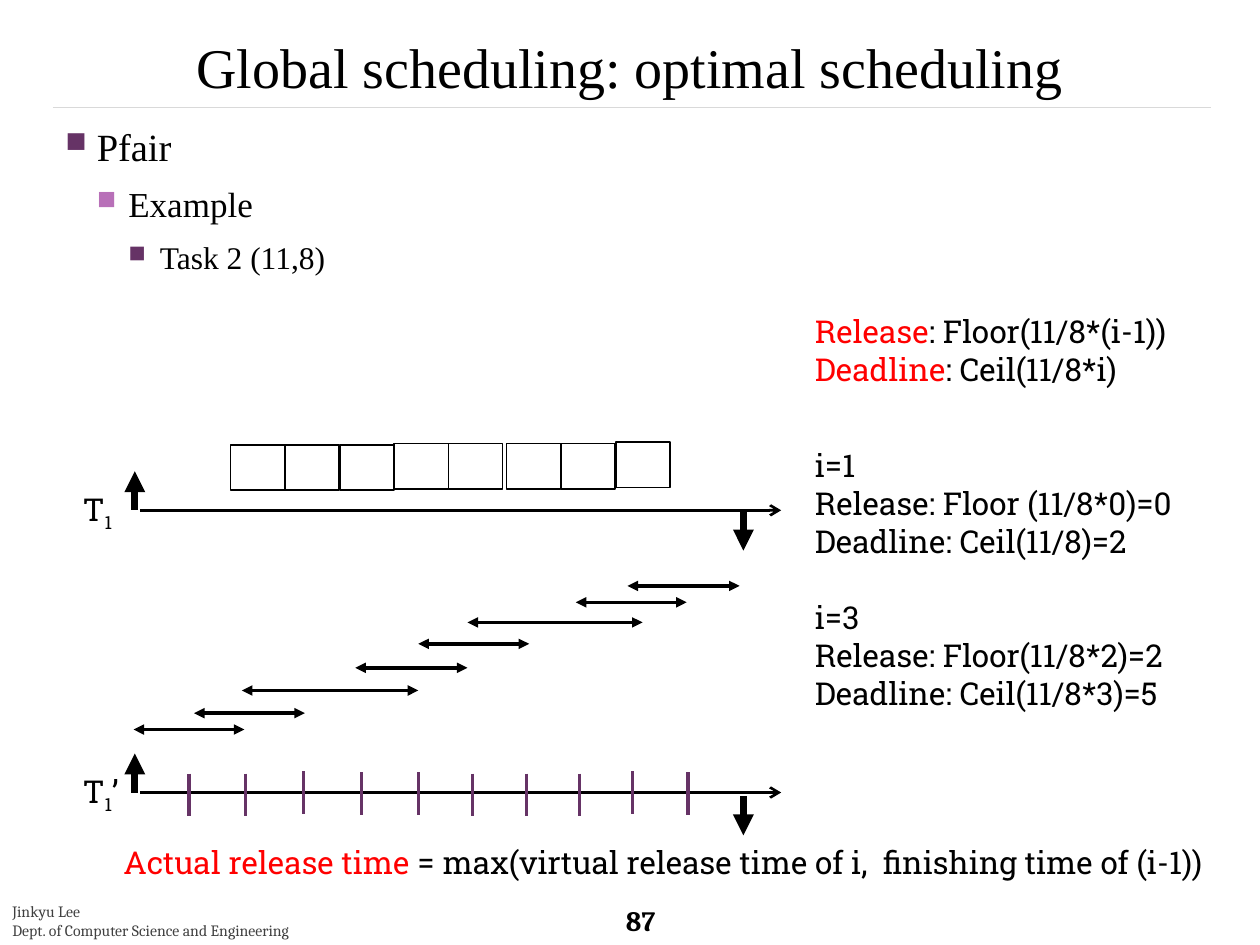
from lxml.etree import SubElement
from pptx import Presentation
from pptx.dml.color import RGBColor
from pptx.enum.shapes import MSO_CONNECTOR, MSO_SHAPE
from pptx.enum.text import MSO_ANCHOR, PP_ALIGN
from pptx.oxml.ns import qn
from pptx.util import Pt

EMU_PER_PX = 9144
SERIF, SLAB, FOOT = "Times New Roman", "Roboto Slab", "Cambria"
BLACK, RED, GREY, PALE = "000000", "FF0000", "404040", "D9D9D9"
PURPLE, LILAC = "663366", "B870B8"


def px(n):
    return n * EMU_PER_PX


def rgb(color):
    return RGBColor.from_string(color)


def add_text(s, box, paragraphs, font=SLAB, size=18, color=BLACK, bold=False,
             align=PP_ALIGN.LEFT, anchor=MSO_ANCHOR.TOP, spacing=None):
    tf = s.shapes.add_textbox(*map(px, box)).text_frame
    tf.word_wrap = True
    tf.vertical_anchor = anchor
    for i, runs in enumerate(paragraphs):
        p = tf.paragraphs[0] if i == 0 else tf.add_paragraph()
        p.alignment = align
        p.line_spacing = spacing
        for run in [runs] if isinstance(runs, str) else runs:
            text, fmt = (run, {}) if isinstance(run, str) else run
            r = p.add_run()
            r.text = text
            r.font.name = font
            r.font.size = Pt(size)
            r.font.bold = bold
            r.font.color.rgb = rgb(fmt.get("color", color))
            if "baseline" in fmt:
                r.font._element.set("baseline", str(fmt["baseline"]))
    return tf


def add_line(s, start, end, width, color=BLACK, head=None, tail=None):
    c = s.shapes.add_connector(MSO_CONNECTOR.STRAIGHT, *map(px, start + end))
    c.line.color.rgb = rgb(color)
    c.line.width = Pt(width)
    ln = c.line._get_or_add_ln()
    for tag, kind in (("a:headEnd", head), ("a:tailEnd", tail)):
        if kind:
            SubElement(ln, qn(tag), type=kind)
    SubElement(c._element.spPr, qn("a:effectLst"))


def add_bullet(p, level, color):
    pPr = p._p.get_or_add_pPr()
    pPr.set("marL", str(px(25 * (level + 1))))
    pPr.set("indent", str(px(-25)))
    SubElement(SubElement(pPr, qn("a:buClr")), qn("a:srgbClr"), val=color)
    SubElement(pPr, qn("a:buSzPct"), val="75000")
    SubElement(pPr, qn("a:buChar"), char="■")


def header(s, x, y, w):
    add_text(s, (x, y, w, 60), ["Global scheduling: optimal scheduling"],
             font=SERIF, size=32, align=PP_ALIGN.CENTER, spacing=1.07)
    add_line(s, (x + 42, y + 68), (x + 961, y + 68), 0.1, PALE)


def outline(s, x, y, w, h):
    items = [("Pfair", 22, 20, PURPLE), ("Example", 20, 6, LILAC),
             ("Task 2 (11,8)", 18, 6, PURPLE)]
    tf = add_text(s, (x, y, w, h), [item[0] for item in items],
                  font=SERIF, spacing=1.07)
    for level, (p, (_, size, before, color)) in enumerate(zip(tf.paragraphs, items)):
        p.level = level
        p.space_before = Pt(before)
        p.runs[0].font.size = Pt(size)
        add_bullet(p, level, color)


def timeline(s, x, y, suffix, drop):
    axis = y + 31
    add_line(s, (x + 55, axis), (x + 564, axis), 1.5, tail="arrow")
    add_line(s, (x + 51, y), (x + 51, axis), 4, head="triangle")
    add_line(s, (x + 534, y + drop), (x + 534, y + drop + 31), 4, tail="triangle")
    label = ["T", ("1", {"baseline": -25000})] + ([suffix] if suffix else [])
    add_text(s, (x, y + 10, 64, 40), [label])


def job_blocks(s, x, y):
    for left, top in [(0, 2), (43, 2), (87, 2), (130, 1),
                      (173, 1), (219, 1), (262, 1), (306, 0)]:
        sp = s.shapes.add_shape(MSO_SHAPE.RECTANGLE,
                                *map(px, (x + left, y + top, 43, 36)))
        sp.shadow.inherit = False
        sp.fill.background()
        sp.line.color.rgb = rgb(BLACK)
        sp.line.width = Pt(1)


def windows(s, x, y):
    for left, right, top in [(0, 88, 114), (48, 136, 101), (86, 226, 83),
                             (176, 265, 65), (226, 314, 46), (265, 404, 29),
                             (351, 439, 13), (392, 481, 0)]:
        add_line(s, (x + left, y + top), (x + right, y + top), 2,
                 head="triangle", tail="triangle")


def ticks(s, x, y):
    for left, top in [(0, 2), (45, 2), (91, 0), (137, 1), (182, 1),
                      (225, 2), (268, 2), (310, 2), (352, 0), (396, 1)]:
        add_line(s, (x + left, y + top), (x + left, y + top + 34), 2, PURPLE)


def formulas(s, x, y, w):
    red = {"color": RED}
    groups = [
        (0, 71, [[("Release", red), ": Floor(11/8*(i-1))"],
                 [("Deadline", red), ": Ceil(11/8*i)"]]),
        (106, 101, ["i=1", "Release: Floor (11/8*0)=0", "Deadline: Ceil(11/8)=2"]),
        (227, 101, ["i=3", "Release: Floor(11/8*2)=2", "Deadline: Ceil(11/8*3)=5"]),
    ]
    for top, height, paragraphs in groups:
        add_text(s, (x, y + top, w, height), paragraphs)


def conclusion(s, x, y, w):
    add_text(s, (x, y, w, 40), [[
        ("Actual release time ", {"color": RED}),
        "= max(virtual release time of i,  finishing time of (i-1))"]])


def footer(s, x, y):
    add_text(s, (x, y, 276, 40),
             ["Jinkyu Lee", "Dept. of Computer Science and Engineering"],
             font=FOOT, size=9, color=GREY)
    add_text(s, (x + 487, y + 4, 66, 31), ["87"], font=FOOT, size=16,
             bold=True, anchor=MSO_ANCHOR.MIDDLE)


def main():
    prs = Presentation()
    prs.slide_width, prs.slide_height = px(1000), px(750)
    s = prs.slides.add_slide(prs.slide_layouts[6])
    footer(s, 0, 711)
    header(s, 0, 17, 1000)
    outline(s, 42, 90, 919, 644)
    timeline(s, 56, 598, "’", 34)
    timeline(s, 56, 374, "", 32)
    job_blocks(s, 183, 351)
    windows(s, 106, 465)
    ticks(s, 150, 612)
    formulas(s, 637, 243, 357)
    conclusion(s, 88, 664, 905)
    prs.save("out.pptx")


if __name__ == "__main__":
    main()
